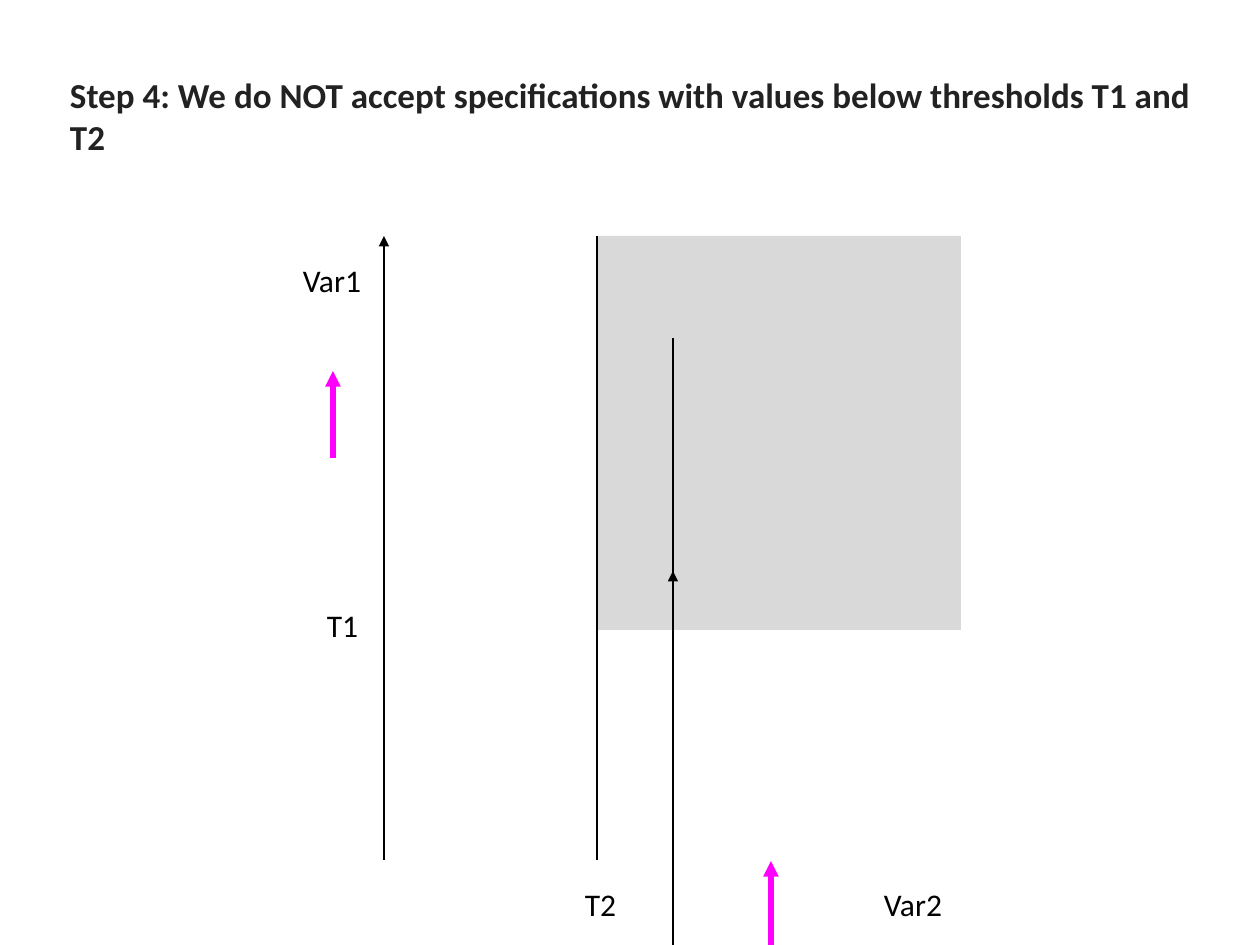
from lxml.etree import SubElement
from pptx import Presentation
from pptx.dml.color import RGBColor
from pptx.enum.shapes import MSO_CONNECTOR as Connector, MSO_SHAPE as Shape
from pptx.enum.text import MSO_ANCHOR as Anchor, MSO_AUTO_SIZE as AutoSize, PP_ALIGN as Align
from pptx.oxml.ns import qn
from pptx.util import Pt

SCALE = 914400 // 126
INSET = 13
FONT = "Calibri"
COLORS = {"title": "222222", "ink": "000000", "region": "D9D9D9", "trend": "FF00FF"}


def px(value):
    """Turn pixels into EMU."""
    return round(value * SCALE)


def color(name):
    """Return the named colour."""
    return RGBColor.from_string(COLORS[name])


def format_text(shape, text, size, ink, align, bold=False):
    """Fill a text shape with one formatted paragraph."""
    frame = shape.text_frame
    frame.text = text
    frame.word_wrap = True
    frame.auto_size = AutoSize.NONE
    frame.vertical_anchor = Anchor.MIDDLE
    frame.margin_left = frame.margin_right = px(INSET)
    frame.margin_top = frame.margin_bottom = px(INSET)
    para = frame.paragraphs[0]
    para.alignment = align
    font = para.runs[0].font
    font.name, font.size, font.bold = FONT, Pt(size), bold
    font.color.rgb = color(ink)


def add_line(page, start, end, ink="ink", width=1.5, arrow=False):
    """Draw a line, with an optional arrowhead at its end."""
    line = page.shapes.add_connector(Connector.STRAIGHT, *map(px, start + end))
    line.line.color.rgb = color(ink)
    line.line.width = Pt(width)
    if arrow:
        SubElement(line.line._get_or_add_ln(), qn("a:tailEnd"), type="triangle")
    SubElement(line._element.spPr, qn("a:effectLst"))


def add_heading(page, left, top, width, height):
    """Place the slide title in its box."""
    title = page.shapes.title
    title.left, title.top, title.width, title.height = map(px, (left, top, width, height))
    text = "Step 4: We do NOT accept specifications with values below thresholds T1 and T2"
    format_text(title, text, 20, "title", Align.LEFT, bold=True)


def add_diagram(page, left, top, width, height):
    """Draw the axes, thresholds, accepted region and labels in a box."""
    bottom = top + height
    threshold = left + 213
    middle = left + 289

    region = page.shapes.add_shape(
        Shape.RECTANGLE, px(threshold + 1), px(top), px(width - 214), px(394))
    region.shadow.inherit = False
    region.fill.solid()
    region.fill.fore_color.rgb = color("region")
    region.line.fill.background()

    add_line(page, (left, bottom), (left, top), arrow=True)
    add_line(page, (middle, top + 912), (middle, top + 335), arrow=True)
    add_line(page, (middle, top + 102), (middle, top + 102 + height))
    add_line(page, (threshold, top), (threshold, bottom))

    labels = [("Var1", left - 102, top, 100), ("Var2", left + 479, bottom, 100),
              ("T1", left - 85, top + 345, 87), ("T2", left + 173, bottom, 87)]
    for text, label_left, label_top, label_width in labels:
        label = page.shapes.add_textbox(
            px(label_left), px(label_top), px(label_width), px(88))
        format_text(label, text, 18, "ink", Align.CENTER)

    for x, y in [(left - 51, top + 135), (left + 387, bottom + 1)]:
        add_line(page, (x, y + 87), (x, y), "trend", 3, arrow=True)


def main():
    """Build and save the deck."""
    deck = Presentation()
    deck.slide_width, deck.slide_height = px(1260), px(945)
    page = deck.slides.add_slide(deck.slide_layouts[5])
    add_heading(page, 57, 76, 1147, 79)
    add_diagram(page, 384, 236, 577, 624)
    deck.save("out.pptx")


main()
